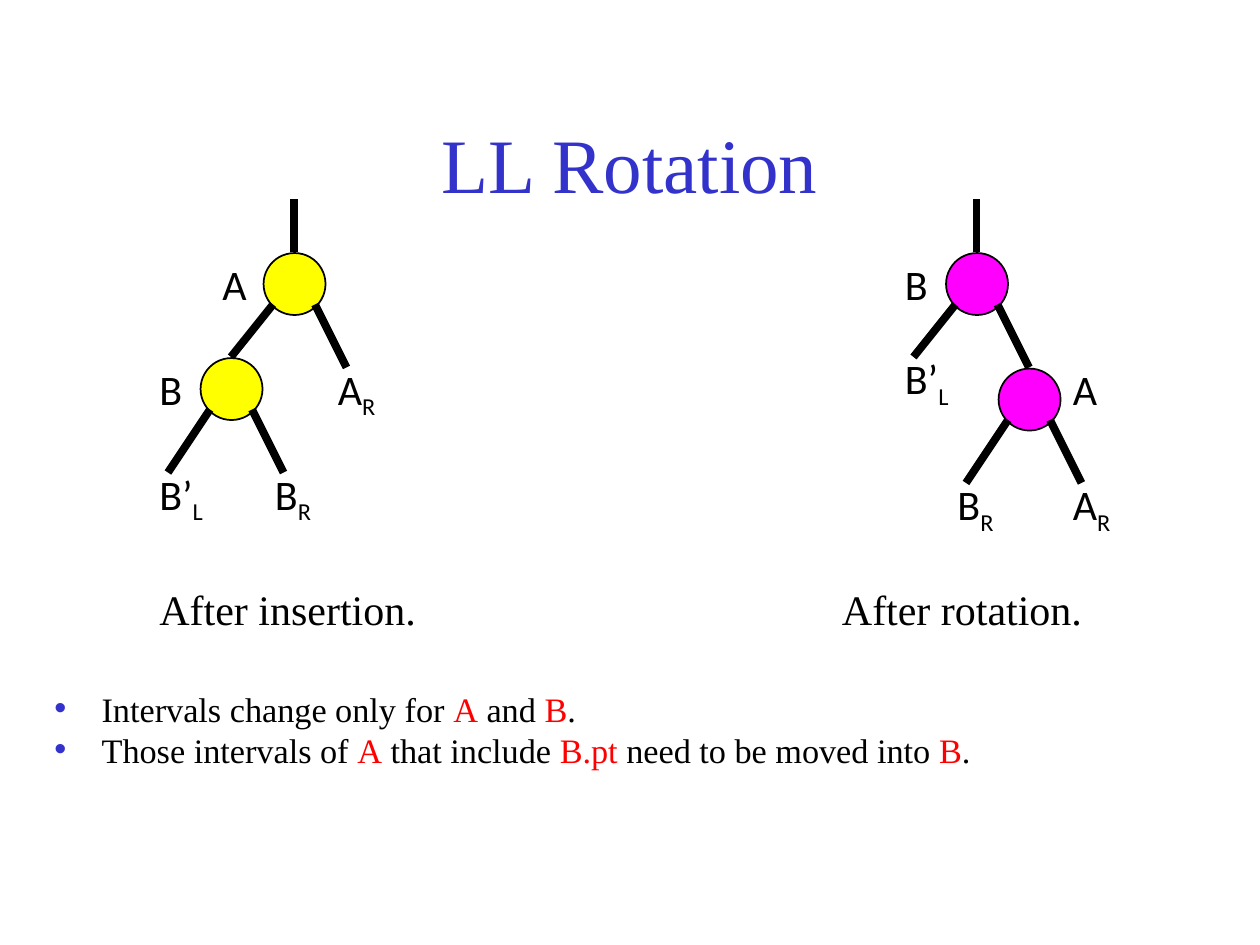
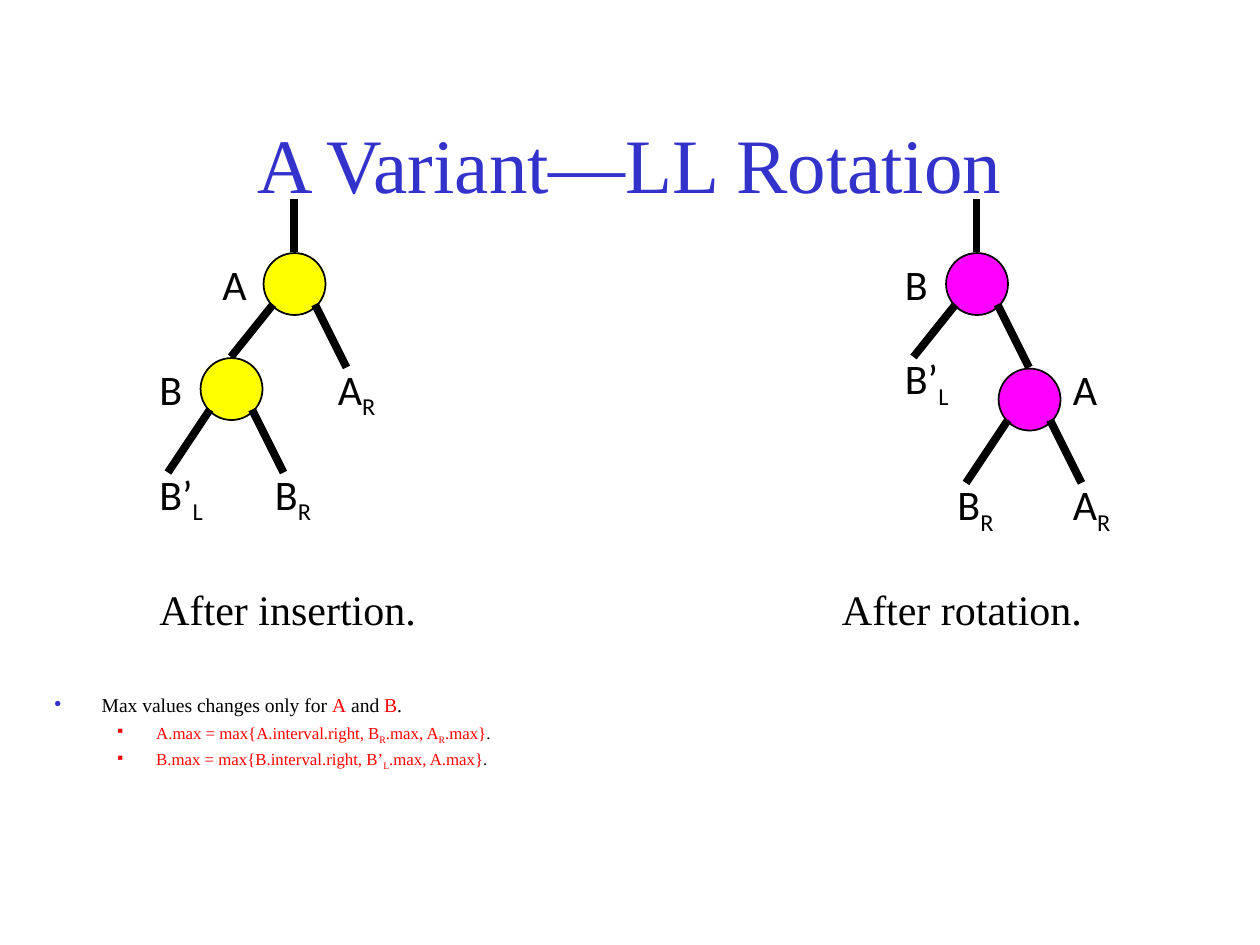
"""Two slides on the LL rotation of a search tree."""
from dataclasses import dataclass
from typing import Any, NamedTuple

from lxml import etree
from pptx import Presentation
from pptx import util as u
from pptx.dml.color import RGBColor
from pptx.enum import shapes, text
from pptx.oxml.ns import qn

PX = 7620  # EMU in one px, 120 px to the inch


@dataclass(frozen=True)
class Theme:
    serif: str = "Times New Roman"
    sans: str = "Calibri"
    bullet_font: str = "Arial"
    ink: str = "000000"
    accent: str = "3333CC"
    hot: str = "FF0000"
    before: str = "FFFF00"
    after: str = "FF00FF"
    title: float = 44
    label: float = 24
    node: int = 59
    edge: float = 4.5
    outline: float = 1


T = Theme()


class Box(NamedTuple):
    x: int
    y: int
    w: int
    h: int

    def emu(self) -> list[int]:
        return [v * PX for v in self]


class Style(NamedTuple):
    font: str
    size: float
    color: str


class Leaf(NamedTuple):
    label: str
    dx: int  # edge end, measured from the parent's centre
    dy: int


class Node(NamedTuple):
    label: str
    x: int
    y: int
    leaves: tuple[Leaf, ...]
    label_dx: int = -80
    label_dy: int = -30


class Tree(NamedTuple):
    fill: str
    root: Node
    child: Node
    caption: str
    caption_x: int


class Level(NamedTuple):
    mark: str
    mark_color: str
    indent: int
    hanging: int
    before: int


class Point(NamedTuple):
    words: str
    size: float
    level: int = 0


class Page(NamedTuple):
    title: str
    points: tuple[Point, ...]


TITLE = Box(90, 80, 1020, 150)
BODY = Box(40, 660, 1020, 80)
LEVELS = (Level("•", T.accent, 45, 45, 7), Level("▪", T.hot, 97, 37, 6))

TREES = (
    Tree(T.before,
         Node("A", 280, 270, (Leaf("A_R_", 50, 80),)),
         Node("B", 220, 370, (Leaf("B’_L_", -60, 80), Leaf("B_R_", 50, 80))),
         "After insertion.", 140),
    Tree(T.after,
         Node("B", 930, 270, (Leaf("B’_L_", -60, 70),)),
         Node("A", 980, 380, (Leaf("B_R_", -60, 80), Leaf("A_R_", 50, 80)), 30, -40),
         "After rotation.", 790),
)

# In wording, *stars* mark the hot colour and _underscores_ a subscript.
PAGES = (
    Page("LL Rotation", (
        Point("Intervals change only for *A* and *B*.", 19.6),
        Point("Those intervals of *A* that include *B.pt* need to be moved into *B*.", 19.6),
    )),
    Page("A Variant—LL Rotation", (
        Point("Max values changes only for *A* and *B*.", 11.2),
        Point("*A.max = max{A.interval.right, B_R_.max, A_R_.max}*.", 9.6, 1),
        Point("*B.max = max{B.interval.right, B’_L_.max, A.max}*.", 9.6, 1),
    )),
)


def apply(target: Any, values: dict[str, Any]) -> None:
    for name, value in values.items():
        setattr(target, name, value)


def write(p: Any, words: str, style: Style) -> None:
    """Add the runs of one marked-up paragraph."""
    for i, part in enumerate(words.split("*")):
        for j, piece in enumerate(part.split("_")):
            if not piece:
                continue
            r = p.add_run()
            r.text = piece
            apply(r.font, {"name": style.font, "size": u.Pt(style.size)})
            r.font.color.rgb = RGBColor.from_string(T.hot if i % 2 else style.color)
            if j % 2:
                r._r.get_or_add_rPr().set("baseline", "-25000")


def add_text(parent: Any, box: Box, words: str, font: str) -> None:
    tf = parent.add_textbox(*box.emu()).text_frame
    apply(tf, {"word_wrap": True, "auto_size": text.MSO_AUTO_SIZE.SHAPE_TO_FIT_TEXT})
    p = tf.paragraphs[0]
    p.space_before = u.Pt(15)
    write(p, words, Style(font, T.label, T.ink))


def add_edge(parent: Any, x1: int, y1: int, x2: int, y2: int) -> None:
    ends = [v * PX for v in (x1, y1, x2, y2)]
    c = parent.add_connector(shapes.MSO_CONNECTOR.STRAIGHT, *ends)
    c.line.width = u.Pt(T.edge)
    c.line.color.rgb = RGBColor.from_string(T.ink)
    etree.SubElement(c._element.spPr, qn("a:effectLst"))


def add_branch(parent: Any, node: Node, x: int, y: int) -> None:
    """Line from the lower left or right of a node to a point below."""
    side = 20 if x > node.x else -20
    add_edge(parent, node.x + side, node.y + 20, x, y)


def add_node(parent: Any, node: Node, fill: str) -> None:
    half = T.node // 2
    box = Box(node.x - half, node.y - half, T.node, T.node)
    sp = parent.add_shape(shapes.MSO_SHAPE.OVAL, *box.emu())
    sp.shadow.inherit = False
    sp.fill.solid()
    sp.fill.fore_color.rgb = RGBColor.from_string(fill)
    sp.line.color.rgb = RGBColor.from_string(T.ink)
    sp.line.width = u.Pt(T.outline)
    label_box = Box(node.x + node.label_dx, node.y + node.label_dy, 40, 60)
    add_text(parent, label_box, node.label, T.sans)
    for leaf in node.leaves:
        x, y = node.x + leaf.dx, node.y + leaf.dy
        add_branch(parent, node, x, y)
        add_text(parent, Box(x - 20, y - 10, 90, 67), leaf.label, T.sans)


def add_tree(s: Any, tree: Tree) -> None:
    g = s.shapes.add_group_shape().shapes
    root, child = tree.root, tree.child
    add_node(g, root, tree.fill)
    add_node(g, child, tree.fill)
    add_branch(g, root, child.x, child.y - 30)
    add_edge(g, root.x, root.y - 30, root.x, root.y - 80)
    add_text(g, Box(tree.caption_x, 550, 320, 60), tree.caption, T.serif)


def set_title(s: Any, words: str) -> None:
    sp = s.shapes.title
    apply(sp, dict(zip(("left", "top", "width", "height"), TITLE.emu())))
    tf = sp.text_frame
    apply(tf, {"vertical_anchor": text.MSO_ANCHOR.MIDDLE, "word_wrap": True,
               "auto_size": text.MSO_AUTO_SIZE.NONE})
    p = tf.paragraphs[0]
    p.alignment = text.PP_ALIGN.CENTER
    write(p, words, Style(T.serif, T.title, T.accent))


def set_bullet(p: Any, level: Level) -> None:
    pPr = p._p.get_or_add_pPr()
    pPr.set("marL", str(level.indent * PX))
    pPr.set("indent", str(-level.hanging * PX))
    color = etree.SubElement(pPr, qn("a:buClr"))
    etree.SubElement(color, qn("a:srgbClr"), val=level.mark_color)
    etree.SubElement(pPr, qn("a:buFont"), typeface=T.bullet_font)
    etree.SubElement(pPr, qn("a:buChar"), char=level.mark)


def add_points(s: Any, points: tuple[Point, ...]) -> None:
    tf = s.shapes.add_textbox(*BODY.emu()).text_frame
    tf.word_wrap = True
    for i, point in enumerate(points):
        p = tf.add_paragraph() if i else tf.paragraphs[0]
        level = LEVELS[point.level]
        apply(p, {"level": point.level, "line_spacing": 0.7,
                  "space_before": u.Pt(level.before)})
        set_bullet(p, level)
        write(p, point.words, Style(T.serif, point.size, T.ink))


def main() -> None:
    prs = Presentation()
    apply(prs, {"slide_width": 1200 * PX, "slide_height": 900 * PX})
    for page in PAGES:
        s = prs.slides.add_slide(prs.slide_layouts[5])  # title only
        set_title(s, page.title)
        add_points(s, page.points)
        for tree in TREES:
            add_tree(s, tree)
    prs.save("out.pptx")


if __name__ == "__main__":
    main()
